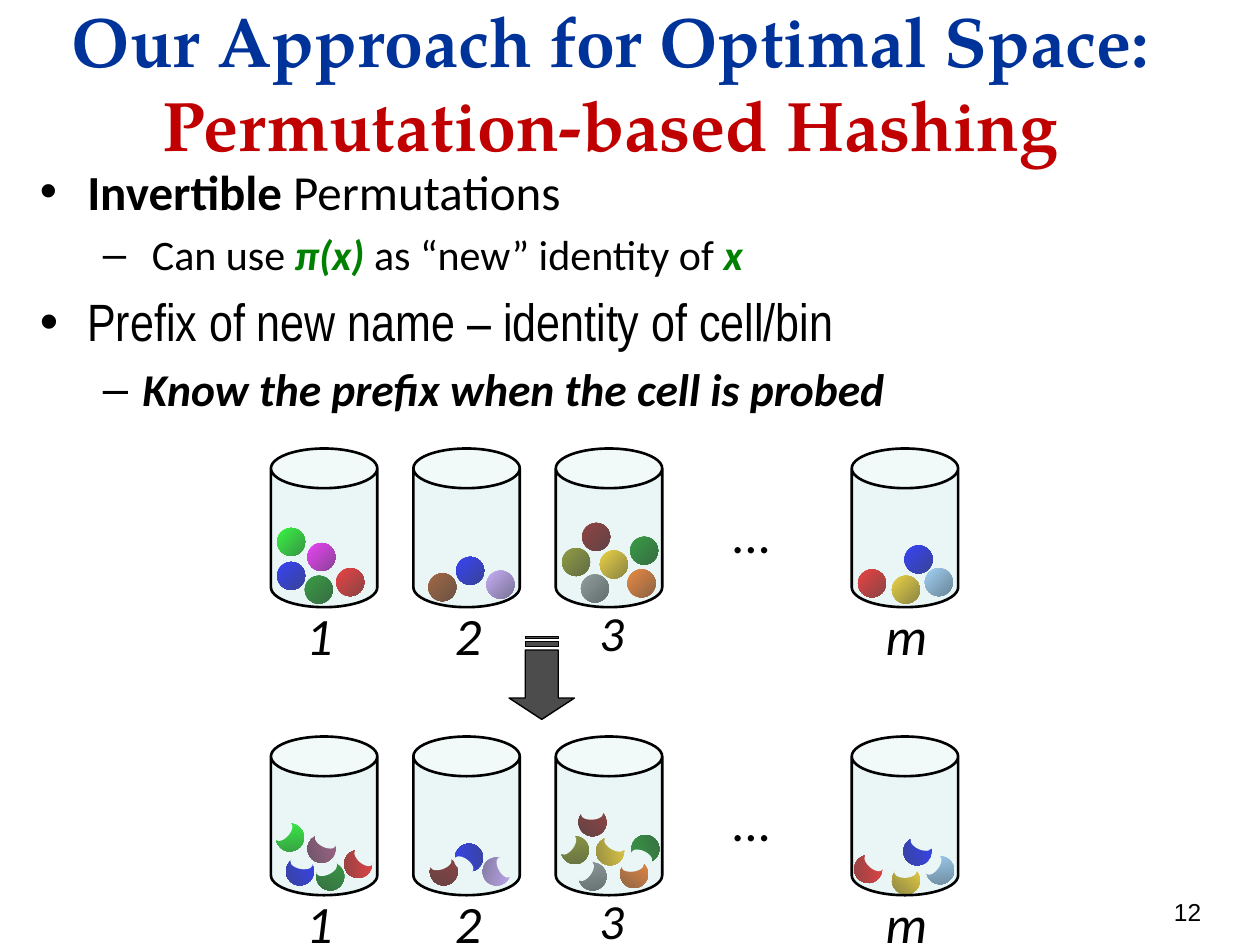
"""Builds a slide on permutation-based hashing with two rows of bins."""
from math import cos, radians, sin

from lxml.etree import SubElement
from pptx import Presentation
from pptx.dml.color import RGBColor
from pptx.enum.shapes import MSO_SHAPE
from pptx.enum.text import MSO_ANCHOR, PP_ALIGN
from pptx.oxml.ns import qn
from pptx.util import Pt

TITLE = [("Our Approach for Optimal Space:", "003399"), ("Permutation-based Hashing", "C00000")]
GREEN_TERM = {"bold": True, "italic": True, "color": "008000"}
BULLETS = [
    (0, 28, "Calibri", [("Invertible", {"bold": True}), (" Permutations", {})]),
    (1, 24, "Calibri", [(" Can use ", {}), ("π(x) ", GREEN_TERM),
                        ("as “new” identity of ", {}), ("x", GREEN_TERM)]),
    (0, 30, "Arial Narrow", [("Prefix of new name – identity of cell/bin", {})]),
    (1, 26, "Calibri", [("Know the prefix when the cell is probed",
                         {"bold": True, "italic": True})]),
]
LEVELS = [("•", 27, -27), ("–", 58.5, -22.5)]

BALL_COLORS = {
    "red": "FF0000", "blue": "0000FF", "green": "008000", "lime": "00FF00",
    "magenta": "FF00FF", "plum": "993366", "brown": "993300", "lavender": "CC99FF",
    "orange": "FF6600", "gray": "808080", "maroon": "800000", "olive": "808000",
    "gold": "FFCC00", "sky": "99CCFF",
}
BIN_LEFTS = [154.8, 236.2, 317.6, 486.7]
BIN_LABELS = [("1", 30, 27.7), ("2", 30, 31.3), ("3", 28, 32), ("m", 30, 31.3)]
WHOLE_BALLS = [
    [("red", 37.4, 68.4), ("blue", 3.6, 64.8), ("green", 19.4, 72.7),
     ("lime", 3.6, 45.4), ("magenta", 20.9, 54)],
    [("brown", 8.6, 71.3), ("lavender", 41.8, 69.8), ("blue", 24.5, 61.9)],
    [("orange", 41, 69.1), ("gray", 14.4, 72), ("maroon", 15.1, 42.5),
     ("olive", 3.6, 56.9), ("gold", 25.2, 58.3), ("green", 42.5, 50.4)],
    [("sky", 41.8, 68.4), ("red", 3.6, 69.1), ("gold", 23, 72.7), ("blue", 30.2, 55.4)],
]
BITTEN_BALLS = [
    [("lime", 2.9, 49.7, 42.5), ("green", 25.9, 72, 64.8), ("plum", 20.9, 56.2, 116.6),
     ("red", 41.8, 64.8, 131), ("blue", 8.6, 69.1, 100.6)],
    [("maroon", 9.4, 69.1, 70), ("lavender", 39.6, 69.1, 151), ("blue", 23.8, 61.2, 306.9)],
    [("gold", 23, 57.6, 120.4), ("green", 43.2, 56.2, 295), ("maroon", 13, 41, 86.8),
     ("olive", 2.9, 56.9, 36.8), ("gray", 13, 72, 36.8), ("orange", 36.7, 70.6, 81.2)],
    [("blue", 29.5, 57.6, 115.1), ("sky", 42.5, 68.4, 36.8),
     ("gold", 23, 74.2, 86.8), ("red", 1.4, 67.7, 131)],
]
ROWS = [(256.3, WHOLE_BALLS), (420.9, BITTEN_BALLS)]
BIN_WIDTH, BIN_HEIGHT = 60.8, 90.7
BALL, BITE_WIDTH, BITE_HEIGHT, BITE_OFFSET = 16, 7, 13, 5
ARROW_PARTS = [
    [(328.3, 398.9), (319, 398.9), (319, 371.5), (300.2, 371.5),
     (300.2, 398.9), (290.9, 398.9), (309.6, 411.1)],
    [(319, 366.5), (300.2, 366.5), (300.2, 369.4), (319, 369.4)],
    [(319, 363.6), (300.2, 363.6), (300.2, 365), (319, 365)],
]


def rgb(color):
    return RGBColor.from_string(color)


def shade(color):
    return "".join(f"{int(color[i:i + 2], 16) * 118 // 255:02X}" for i in (0, 2, 4))


def add_text_box(left, top, width, height, wrap=True):
    frame = slide.shapes.add_textbox(Pt(left), Pt(top), Pt(width), Pt(height)).text_frame
    frame.word_wrap = wrap
    return frame


def add_label(text, center, top, size, font="Calibri", italic=False):
    paragraph = add_text_box(center - 27, top, 54, 43).paragraphs[0]
    paragraph.text = text
    paragraph.alignment = PP_ALIGN.CENTER
    paragraph.font.name, paragraph.font.size = font, Pt(size)
    paragraph.font.italic = italic
    paragraph.font.color.rgb = rgb("000000")


def add_preset(kind, left, top, width, height, angle=0):
    shape = slide.shapes.add_shape(kind, Pt(left), Pt(top), Pt(width), Pt(height))
    shape.rotation = angle
    shape.shadow.inherit = False
    shape.line.fill.background()
    return shape


def paint(shape, color, opacity, line_width):
    shape.fill.solid()
    shape.fill.fore_color.rgb = rgb(color)
    fill_color = shape.element.spPr.find(qn("a:solidFill")).find(qn("a:srgbClr"))
    SubElement(fill_color, qn("a:alpha"), val=str(opacity * 1000))
    shape.line.color.rgb = rgb("000000")
    shape.line.width = Pt(line_width)


def add_ball(color, left, top, angle=None):
    ball = add_preset(MSO_SHAPE.OVAL, left, top, BALL, BALL, angle or 0)
    ball.fill.gradient()
    ball.fill.gradient_angle = 315
    for stop, stop_color in zip(ball.fill.gradient_stops, (color, shade(color))):
        stop.color.rgb = rgb(stop_color)
    if angle is not None:
        center_x = left + BALL / 2 - BITE_OFFSET * cos(radians(angle))
        center_y = top + BALL / 2 - BITE_OFFSET * sin(radians(angle))
        bite = add_preset(MSO_SHAPE.OVAL, center_x - BITE_WIDTH / 2,
                          center_y - BITE_HEIGHT / 2, BITE_WIDTH, BITE_HEIGHT, angle)
        bite.fill.solid()
        bite.fill.fore_color.rgb = rgb("FFFFFF")


def add_row(top, balls_by_bin):
    for left, balls in zip(BIN_LEFTS, balls_by_bin):
        for name, x, y, *angle in balls:
            add_ball(BALL_COLORS[name], left + x, top + y, *angle)
    for left in BIN_LEFTS:
        can = add_preset(MSO_SHAPE.CAN, left, top, BIN_WIDTH, BIN_HEIGHT)
        can.adjustments[0] = 0.373
        paint(can, "BBE0E3", 30, 1.5)
    for left, (text, size, offset) in zip(BIN_LEFTS, BIN_LABELS):
        add_label(text, left + offset, top + 84.7, size, italic=True)
    add_label("...", 429.1, top + 26.4, 30)


def add_title():
    frame = add_text_box(-22.3, 19.4, 742.3, 54)
    frame.vertical_anchor = MSO_ANCHOR.MIDDLE
    paragraph = frame.paragraphs[0]
    paragraph.alignment = PP_ALIGN.CENTER
    paragraph.font.name, paragraph.font.size, paragraph.font.bold = "TeX Gyre Pagella", Pt(40), True
    for index, (text, color) in enumerate(TITLE):
        if index:
            paragraph.add_line_break()
        run = paragraph.add_run()
        run.text = text
        run.font.size = Pt(40)
        run.font.color.rgb = rgb(color)


def add_bullets():
    frame = add_text_box(15.8, 88.6, 635.8, 125.3)
    for index, (level, size, font, parts) in enumerate(BULLETS):
        paragraph = frame.add_paragraph() if index else frame.paragraphs[0]
        paragraph.level = level
        paragraph.space_before = Pt(size * 0.2 if index else 0)
        mark, margin, indent = LEVELS[level]
        properties = paragraph._p.get_or_add_pPr()
        properties.set("marL", str(Pt(margin)))
        properties.set("indent", str(Pt(indent)))
        SubElement(properties, qn("a:buFont"), typeface="Arial")
        SubElement(properties, qn("a:buChar"), char=mark)
        paragraph.font.name, paragraph.font.size = font, Pt(size)
        for text, style in parts:
            run = paragraph.add_run()
            run.text = text
            run.font.bold = style.get("bold", False)
            run.font.italic = style.get("italic", False)
            run.font.color.rgb = rgb(style.get("color", "000000"))


def add_arrow():
    (start, *rest), *stripes = [[(Pt(x), Pt(y)) for x, y in part] for part in ARROW_PARTS]
    builder = slide.shapes.build_freeform(*start)
    builder.add_line_segments(rest)
    for first, *others in stripes:
        builder.move_to(*first)
        builder.add_line_segments(others)
    arrow = builder.convert_to_shape()
    arrow.shadow.inherit = False
    paint(arrow, "000000", 70, 0.8)


presentation = Presentation()
presentation.slide_width, presentation.slide_height = Pt(720), Pt(540)
slide = presentation.slides.add_slide(presentation.slide_layouts[6])
add_title()
add_bullets()
for row_top, row_balls in ROWS:
    add_row(row_top, row_balls)
add_arrow()
page_number = add_text_box(663.8, 509, 38.2, 18, wrap=False).paragraphs[0]
page_number.text = "12"
page_number.font.name, page_number.font.size = "Arial", Pt(14)
page_number.font.color.rgb = rgb("000000")
presentation.save("out.pptx")
